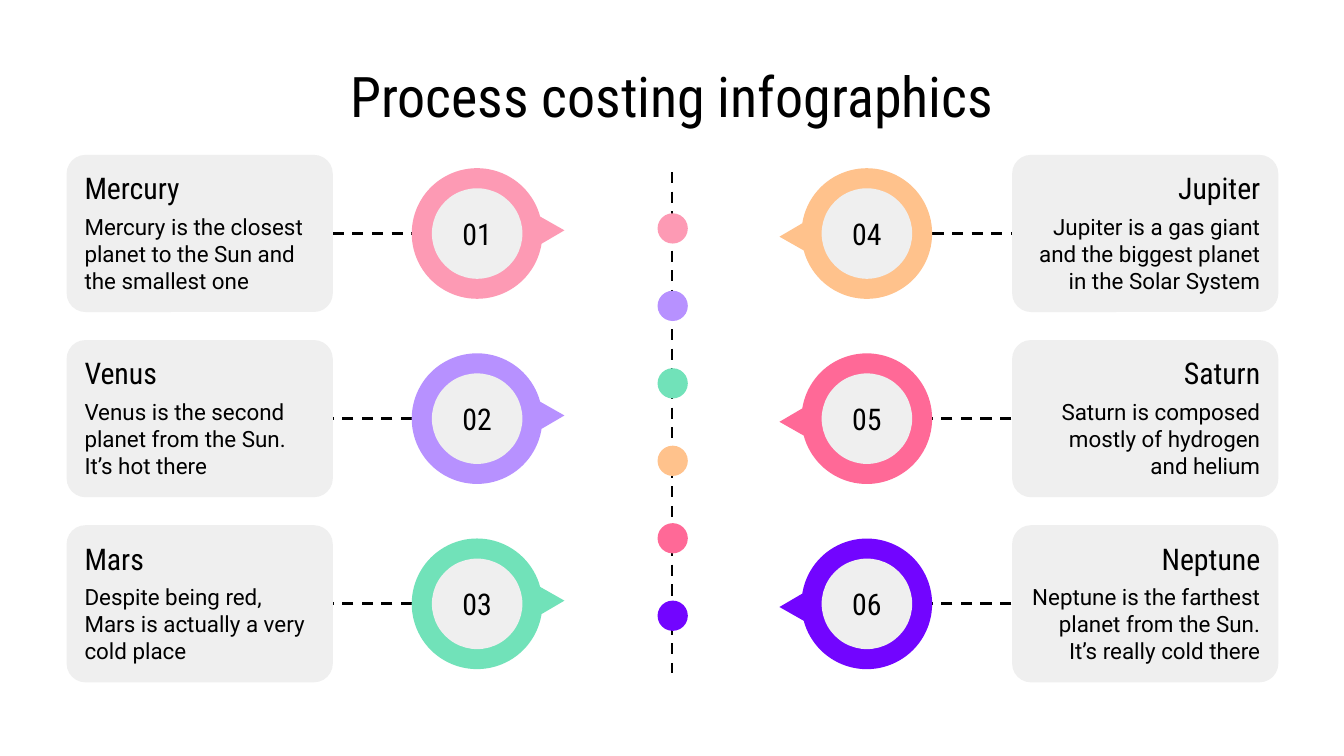
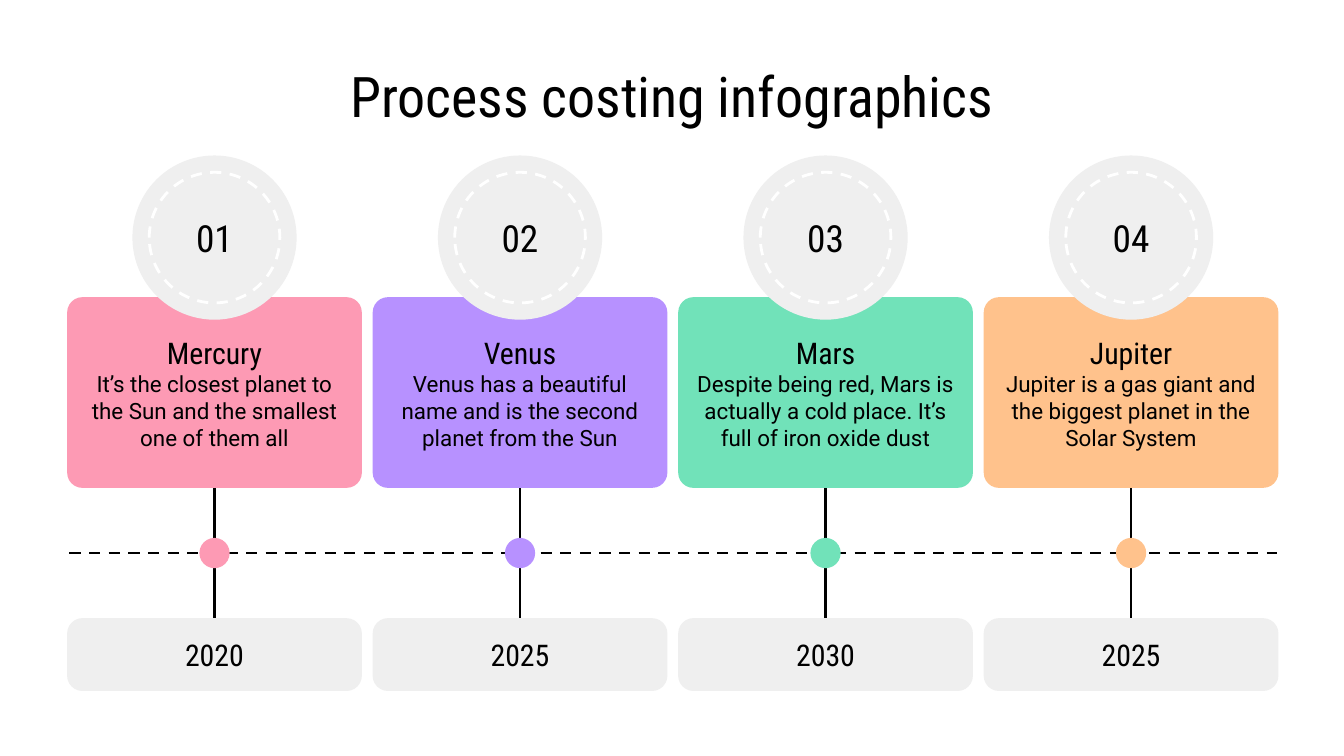
from dataclasses import dataclass
from math import cos, radians, sin

from lxml.etree import SubElement
from pptx import Presentation
from pptx.dml.color import RGBColor
from pptx.enum.dml import MSO_LINE
from pptx.enum.shapes import MSO_CONNECTOR, MSO_SHAPE
from pptx.enum.text import MSO_ANCHOR, MSO_AUTO_SIZE, PP_ALIGN
from pptx.oxml.ns import qn
from pptx.shapes.autoshape import Shape
from pptx.slide import Slide
from pptx.util import Pt

HEAD_FONT, BODY_FONT = "Roboto Condensed", "Roboto"
BLACK, WHITE, GREY = "000000", "FFFFFF", "EFEFEF"
PINK, LILAC, GREEN = "FD9AB4", "B791FF", "71E2B9"
ORANGE, ROSE, VIOLET = "FFC28C", "FF6997", "7205FF"

SLIDE_W, SLIDE_H = 720, 405
TITLE = "Process costing infographics"
DOT_D = 16.2
LINE_W = 1.5


@dataclass(frozen=True)
class Box:
    x: float
    y: float
    w: float
    h: float


@dataclass(frozen=True)
class Line:
    text: str
    size: float
    font: str = HEAD_FONT


@dataclass(frozen=True)
class Planet:
    name: str
    text: str
    color: str


@dataclass(frozen=True)
class Milestone:
    planet: Planet
    year: str


PLANETS = [
    Planet("Mercury", "Mercury is the closest planet to the Sun and the smallest one", PINK),
    Planet("Venus", "Venus is the second planet from the Sun. It’s hot there", LILAC),
    Planet("Mars", "Despite being red, Mars is actually a very cold place", GREEN),
    Planet("Jupiter", "Jupiter is a gas giant and the biggest planet in the Solar System", ORANGE),
    Planet("Saturn", "Saturn is composed mostly of hydrogen and helium", ROSE),
    Planet("Neptune", "Neptune is the farthest planet from the Sun. It’s really cold there", VIOLET),
]

MILESTONES = [
    Milestone(Planet("Mercury", "It’s the closest planet to the Sun and the smallest one of them all", PINK), "2020"),
    Milestone(Planet("Venus", "Venus has a beautiful name and is the second planet from the Sun", LILAC), "2025"),
    Milestone(Planet("Mars", "Despite being red, Mars is actually a cold place. It’s full of iron oxide dust", GREEN), "2030"),
    Milestone(Planet("Jupiter", "Jupiter is a gas giant and the biggest planet in the Solar System", ORANGE), "2025"),
]


def rgb(value: str) -> RGBColor:
    return RGBColor.from_string(value)


def circle(cx: float, cy: float, d: float) -> Box:
    return Box(cx - d / 2, cy - d / 2, d, d)


def write(sp: Shape, lines: list[Line], align: PP_ALIGN = PP_ALIGN.CENTER) -> None:
    tf = sp.text_frame
    tf.word_wrap = True
    tf.auto_size = MSO_AUTO_SIZE.NONE
    tf.vertical_anchor = MSO_ANCHOR.MIDDLE
    tf.margin_left = tf.margin_right = tf.margin_top = tf.margin_bottom = Pt(7.2)
    tf.text = "\n".join(line.text for line in lines)
    for p, line in zip(tf.paragraphs, lines):
        p.alignment = align
        for r in p.runs:
            r.font.name = line.font
            r.font.size = Pt(line.size)
            r.font.color.rgb = rgb(BLACK)


def paint(sp: Shape, fill: str) -> None:
    sp.shadow.inherit = False
    sp.fill.solid()
    sp.fill.fore_color.rgb = rgb(fill)
    sp.line.fill.background()


def add_shape(slide: Slide, kind: MSO_SHAPE, box: Box, fill: str, radius: float | None = None) -> Shape:
    sp = slide.shapes.add_shape(kind, Pt(box.x), Pt(box.y), Pt(box.w), Pt(box.h))
    if radius is not None:
        sp.adjustments[0] = radius
    paint(sp, fill)
    return sp


def add_text(slide: Slide, box: Box, line: Line, align: PP_ALIGN) -> None:
    sp = slide.shapes.add_textbox(Pt(box.x), Pt(box.y), Pt(box.w), Pt(box.h))
    write(sp, [line], align)


def add_line(slide: Slide, x1: float, y1: float, x2: float, y2: float, dashed: bool = False) -> None:
    cxn = slide.shapes.add_connector(MSO_CONNECTOR.STRAIGHT, Pt(x1), Pt(y1), Pt(x2), Pt(y2))
    cxn.line.color.rgb = rgb(BLACK)
    cxn.line.width = Pt(LINE_W)
    if dashed:
        cxn.line.dash_style = MSO_LINE.DASH
    SubElement(cxn._element.spPr, qn("a:effectLst"))


def add_pointer(slide: Slide, cx: float, cy: float, turn: int, fill: str) -> None:
    radius, first, last = 35, 9, 345
    rim = [(radius * cos(radians(a)), radius * sin(radians(a))) for a in (first, 90, 180, 270, last)]
    outline = [(Pt(cx + turn * dx), Pt(cy + turn * dy)) for dx, dy in [(46.8, -1.7), *rim]]
    builder = slide.shapes.build_freeform(*outline[0])
    builder.add_line_segments(outline[1:], close=True)
    sp = builder.convert_to_shape()
    chords = list(sp._element.iter(qn("a:lnTo")))[1:5]
    start = first if turn > 0 else first + 180
    arc = SubElement(chords[0].getparent(), qn("a:arcTo"))
    for name, value in [("wR", Pt(radius)), ("hR", Pt(radius)),
                        ("stAng", start * 60000), ("swAng", (last - first) * 60000)]:
        arc.set(name, str(int(value)))
    chords[0].addprevious(arc)
    for chord in chords:
        chord.getparent().remove(chord)
    paint(sp, fill)


def add_titled_slide(prs: Presentation) -> Slide:
    slide = prs.slides.add_slide(prs.slide_layouts[5])
    sp = slide.shapes.title
    sp.left, sp.top, sp.width, sp.height = Pt(35.6), Pt(32.4), Pt(648.8), Pt(37.4)
    write(sp, [Line(TITLE, 30)])
    for r in sp.text_frame.paragraphs[0].runs:
        r.font._element.set("kern", "0")
    return slide


def add_planet(slide: Slide, index: int, planet: Planet) -> None:
    side, row = divmod(index, 3)
    turn = -1 if side else 1
    align = PP_ALIGN.RIGHT if side else PP_ALIGN.LEFT
    card_w, card_h = 142.6, 84.2
    card_x = 542.2 if side else 35.7
    card_y = 83 + row * 99.2
    cx, cy = SLIDE_W / 2 - turn * 104.4, card_y + card_h / 2

    ends = (489, 541.8) if side else (178.2, 231.3)
    start, end = ends if row == 0 else ends[::-1]
    add_line(slide, start, cy, end, cy, dashed=True)

    add_pointer(slide, cx, cy, turn, planet.color)
    hub = add_shape(slide, MSO_SHAPE.OVAL, circle(cx, cy, 48.5), GREY)
    write(hub, [Line(f"{index + 1:02}", 16)])
    add_shape(slide, MSO_SHAPE.ROUNDED_RECTANGLE, Box(card_x, card_y, card_w, card_h), GREY, 0.12)
    text_x, text_w = card_x + 2.5, card_w - 5
    add_text(slide, Box(text_x, card_y + 6.8, text_w, 21.6), Line(planet.name, 16), align)
    add_text(slide, Box(text_x, card_y + 28.6, text_w, 48.2), Line(planet.text, 12, BODY_FONT), align)


def build_planets(prs: Presentation) -> None:
    slide = add_titled_slide(prs)
    add_line(slide, 360, 92.2, 360, 360.7, dashed=True)
    for i, planet in enumerate(PLANETS):
        add_shape(slide, MSO_SHAPE.OVAL, circle(360.4, 122.4 + i * 41.5, DOT_D), planet.color)
        add_planet(slide, i, planet)


def add_milestone(slide: Slide, index: int, milestone: Milestone) -> None:
    planet = milestone.planet
    card_x, card_w = 36 + index * 163.67, 157.9
    card_y, card_h = 159.2, 102.2
    axis_y, year_y = 296.3, 331.2
    cx, badge_y = card_x + card_w / 2, 127.3

    add_line(slide, cx, card_y + card_h, cx, axis_y - DOT_D / 2)
    add_line(slide, cx, axis_y + DOT_D / 2, cx, year_y)
    add_shape(slide, MSO_SHAPE.OVAL, circle(cx, axis_y, DOT_D), planet.color)

    card = add_shape(slide, MSO_SHAPE.ROUNDED_RECTANGLE, Box(card_x, card_y, card_w, card_h), planet.color, 0.08)
    write(card, [Line(planet.name, 16), Line(planet.text, 12, BODY_FONT)])
    year = add_shape(slide, MSO_SHAPE.ROUNDED_RECTANGLE, Box(card_x, year_y, card_w, 39), GREY, 0.21)
    write(year, [Line(milestone.year, 16)])

    add_shape(slide, MSO_SHAPE.OVAL, circle(cx, badge_y, 88), GREY)
    ring = add_shape(slide, MSO_SHAPE.OVAL, circle(cx, badge_y, 70), GREY)
    ring.fill.background()
    ring.line.color.rgb = rgb(WHITE)
    ring.line.width = Pt(LINE_W)
    ring.line.dash_style = MSO_LINE.DASH
    write(ring, [Line(f"{index + 1:02}", 20)])


def build_timeline(prs: Presentation) -> None:
    slide = add_titled_slide(prs)
    add_line(slide, 37.2, 296.3, 684, 296.3, dashed=True)
    for i, milestone in enumerate(MILESTONES):
        add_milestone(slide, i, milestone)


def main() -> None:
    prs = Presentation()
    prs.slide_width, prs.slide_height = Pt(SLIDE_W), Pt(SLIDE_H)
    build_planets(prs)
    build_timeline(prs)
    prs.save("out.pptx")


if __name__ == "__main__":
    main()
